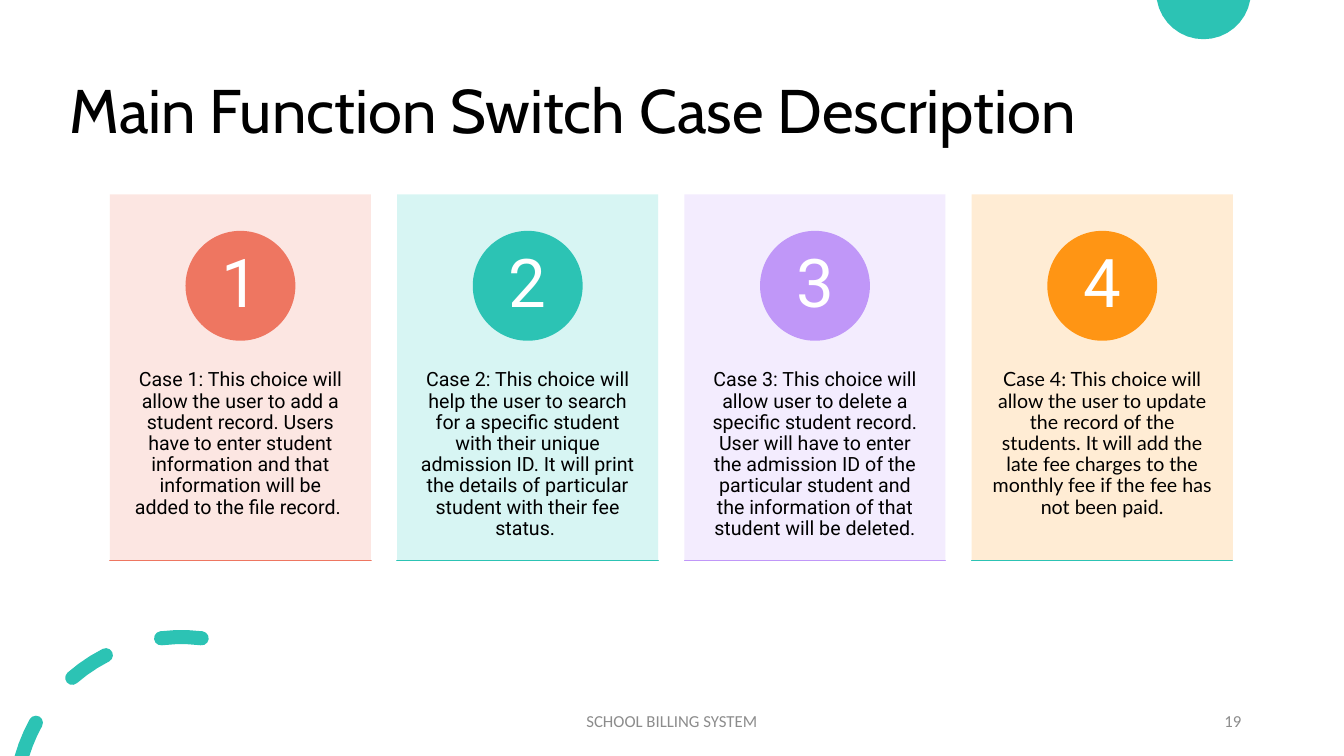
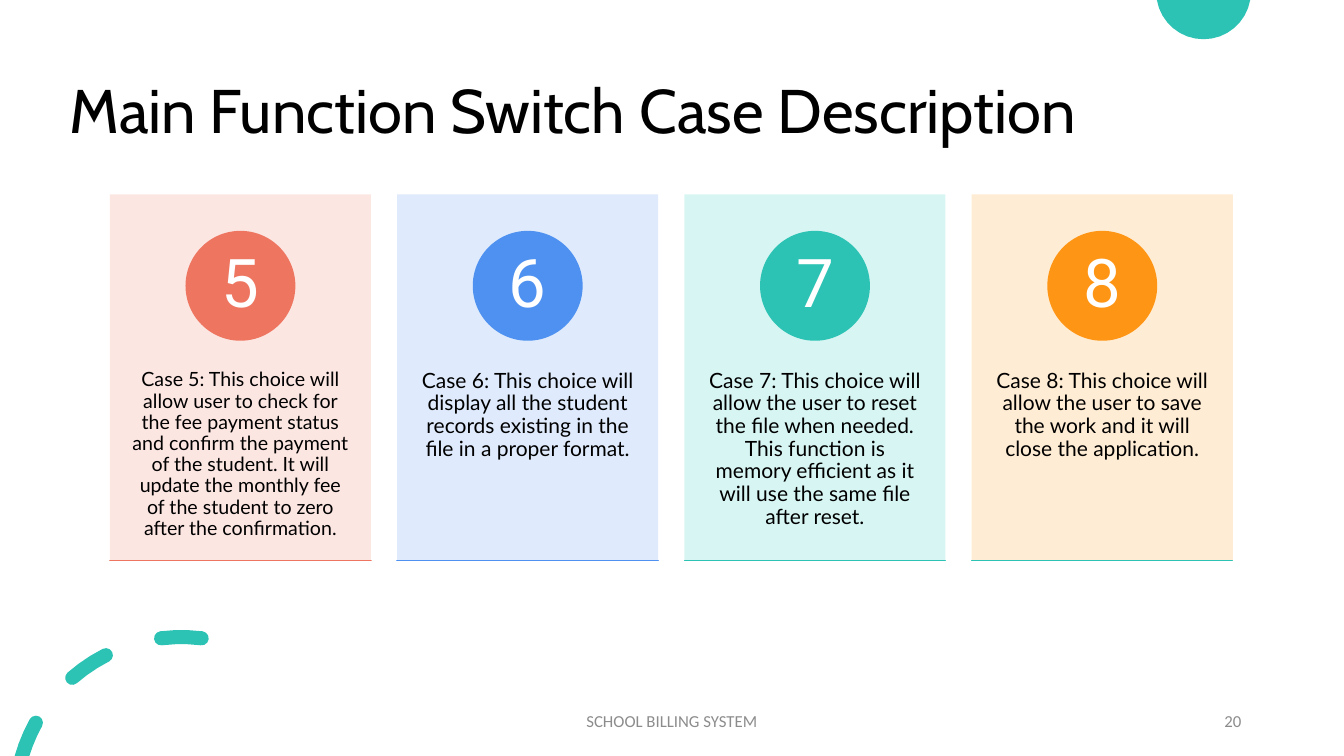
from math import acos, cos, degrees, radians, sin

from lxml import etree
from pptx import Presentation
from pptx.dml.color import RGBColor
from pptx.enum.shapes import MSO_SHAPE
from pptx.enum.text import MSO_ANCHOR, PP_ALIGN
from pptx.oxml.ns import qn
from pptx.util import Inches, Pt

RECT, OVAL = MSO_SHAPE.RECTANGLE, MSO_SHAPE.OVAL
TOP, MIDDLE = MSO_ANCHOR.TOP, MSO_ANCHOR.MIDDLE
LEFT, CENTER, RIGHT = PP_ALIGN.LEFT, PP_ALIGN.CENTER, PP_ALIGN.RIGHT

# Content: slide number, whether text has its own boxes, then (text, font, size, theme)
TITLE = "Main Function Switch Case Description"
FOOTER = "SCHOOL BILLING SYSTEM"
SLIDES = [
    (19, True, [
        ("Case 1: This choice will allow the user to add a student record. Users have to "
         "enter student information and that information will be added to the file record. ",
         "Roboto", 14, "coral"),
        ("Case 2: This choice will help the user to search for a specific student with their "
         "unique admission ID. It will print the details of particular student with their "
         "fee status. ", "Roboto", 14, "teal"),
        ("Case 3: This choice will allow user to delete a specific student record. User will "
         "have to enter the admission ID of the particular student and the information of "
         "that student will be deleted.", "Roboto", 14, "purple"),
        ("Case 4: This choice will allow the user to update the record of the students. It "
         "will add the late fee charges to the monthly fee if the fee has not been paid.",
         "Lato", 14, "orange"),
    ]),
    (20, False, [
        ("Case 5: This choice will allow user to check for the fee payment status and confirm "
         "the payment of the student. It will update the monthly fee of the student to zero "
         "after the confirmation.", "Lato", 14, "coral"),
        ("Case 6: This choice will display all the student records existing in the file in a "
         "proper format.", "Lato", 15, "blue"),
        ("Case 7: This choice will allow the user to reset the file when needed. This function "
         "is memory efficient as it will use the same file after reset.", "Lato", 15, "teal"),
        ("Case 8: This choice will allow the user to save the work and it will close the "
         "application.", "Lato", 15, "orange"),
    ]),
]

# Shared look: each theme is (card, circle, base line)
TEAL, BLACK, WHITE, GREY = "2CC3B4", "000000", "FFFFFF", "8C8C8C"
THEMES = {
    "coral": ("FCE4DF", "EE7661", "EE7661"),
    "teal": ("D3F5F2", TEAL, TEAL),
    "purple": ("F2EAFE", "C097F8", "C097F8"),
    "blue": ("DCE9FC", "4E91F0", "4E91F0"),
    "orange": ("FFEAD0", "FF9514", TEAL),
}
TITLE_STYLE = dict(name="Cabin", size=44, color=BLACK, align=LEFT, spacing=0.9)
FOOTER_STYLE = dict(name="Calibri", size=12, color=GREY)
NUMBER_STYLE = dict(name="Roboto", size=48, color=WHITE, align=CENTER, spacing=0.9,
                    insets=(0, 0, 0, 0))
CASE_STYLE = dict(color=BLACK, align=CENTER, spacing=0.9, anchor=TOP)

# Grid, in inches
W, H = 40 / 3, 7.5
MARGIN, GAP = 1.09, 0.26
CARD_W, CARD_H, CARD_TOP = 2.59, 3.63, 1.93
CIRCLE, CIRCLE_DROP, NUMBER = 1.09, 0.36, 0.77
LABEL_DROP, LABEL_H, TEXT_DROP = 1.37, 2.18, 1.74
FOOT_Y, FOOT_H, FOOT_W, PAGE_W = 6.95, 0.4, 4.5, 3


def rgb(value):
    return RGBColor.from_string(value)


def paint(sp, color, alpha=None):
    sp.shadow.inherit = False
    sp.fill.solid()
    sp.fill.fore_color.rgb = rgb(color)
    sp.line.fill.background()
    if alpha:
        clr = sp._element.spPr.find(qn("a:solidFill"))[0]
        etree.SubElement(clr, qn("a:alpha"), val=str(alpha * 1000))


def write(sp, text, name, size, color, align, spacing=1.0, anchor=MIDDLE, insets=None):
    tf = sp.text_frame
    tf.word_wrap = True
    tf.vertical_anchor = anchor
    if insets:
        for side, inset in zip(("left", "top", "right", "bottom"), insets):
            setattr(tf, f"margin_{side}", Inches(inset))
    p = tf.paragraphs[0]
    p.alignment, p.line_spacing = align, spacing
    r = p.add_run()
    r.text = text
    for key, value in dict(name=name, size=Pt(size)).items():
        setattr(r.font, key, value)
    r.font.color.rgb = rgb(color)


def add_text(s, box, text, **style):
    write(s.shapes.add_textbox(*map(Inches, box)), text, **style)


def add_block(s, kind, box, color, alpha=None):
    sp = s.shapes.add_shape(kind, *map(Inches, box))
    paint(sp, color, alpha)
    return sp


def arc(cx, cy, radius, start, end, steps):
    """Points on a circle, with angles in degrees clockwise from the top."""
    angles = [radians(start + (end - start) * i / steps) for i in range(steps + 1)]
    return [(cx + radius * sin(a), cy - radius * cos(a)) for a in angles]


def add_outlines(s, *outlines):
    """One filled shape made of closed outlines."""
    fb = None
    for points in outlines:
        first, *rest = [(Inches(x), Inches(y)) for x, y in points]
        if fb is None:
            fb = s.shapes.build_freeform(*first, scale=1.0)
        else:
            fb.move_to(*first)
        fb.add_line_segments(rest, close=True)
    paint(fb.convert_to_shape(), TEAL)


def add_decoration(s):
    # Disc cut by the top edge
    add_outlines(s, arc(11.94, -0.08, 0.47, 100, 260, 16))

    # Rounded dashes along one ring, the last cut by the bottom edge
    cx, cy, radius, half = 1.8, 7.97, 1.65, 0.07
    outer, inner = radius + half, radius - half
    dashes = []
    for middle in (0, -34, -68):
        a, b = middle - 7, middle + 7
        (ax, ay), (bx, by) = arc(cx, cy, radius, a, b, 1)
        cut = ay > H
        a_out, a_in = [-degrees(acos((cy - H) / e)) if cut else a for e in (outer, inner)]
        points = (arc(cx, cy, outer, a_out, b, 3) + arc(bx, by, half, b, b + 180, 6)[1:-1]
                  + arc(cx, cy, inner, b, a_in, 3))
        if not cut:
            points += arc(ax, ay, half, a + 180, a + 360, 6)[1:-1]
        dashes.append(points)
    add_outlines(s, *dashes)


def add_card(s, col, number, separate, text, name, size, theme):
    card, accent, base = THEMES[theme]
    x = MARGIN + col * (CARD_W + GAP)
    circle_x, circle_y = x + (CARD_W - CIRCLE) / 2, CARD_TOP + CIRCLE_DROP
    panel = add_block(s, RECT, (x, CARD_TOP, CARD_W, CARD_H), card, alpha=90)
    case_style = dict(CASE_STYLE, name=name, size=size)
    if separate:
        add_text(s, (x, CARD_TOP + LABEL_DROP, CARD_W, LABEL_H), text,
                 insets=(0.2, TEXT_DROP - LABEL_DROP, 0.2, 0.05), **case_style)
    else:
        write(panel, text, insets=(0.2, TEXT_DROP, 0.2, 0.1), **case_style)
    disc = add_block(s, OVAL, (circle_x, circle_y, CIRCLE, CIRCLE), accent)
    if separate:
        pad = (CIRCLE - NUMBER) / 2
        add_text(s, (circle_x + pad, circle_y + pad, NUMBER, NUMBER), str(number),
                 **NUMBER_STYLE)
    else:
        write(disc, str(number), **NUMBER_STYLE)
    # Flat bar along the card's foot
    bar = add_block(s, RECT, (x, CARD_TOP + CARD_H, CARD_W, 0), base)
    bar.line.color.rgb = rgb(base)
    bar.line.width = Pt(1)


def main():
    prs = Presentation()
    prs.slide_width, prs.slide_height = Inches(W), Inches(H)
    case = 0
    for page, separate, cards in SLIDES:
        s = prs.slides.add_slide(prs.slide_layouts[6])
        add_decoration(s)
        add_text(s, (0.59, 0.4, 11.5, 1.45), TITLE, **TITLE_STYLE)
        for col, card in enumerate(cards):
            case += 1
            add_card(s, col, case, separate, *card)
        add_text(s, ((W - FOOT_W) / 2, FOOT_Y, FOOT_W, FOOT_H), FOOTER,
                 align=CENTER, **FOOTER_STYLE)
        add_text(s, (W - 0.92 - PAGE_W, FOOT_Y, PAGE_W, FOOT_H), str(page),
                 align=RIGHT, **FOOTER_STYLE)
    prs.save("out.pptx")


if __name__ == "__main__":
    main()
